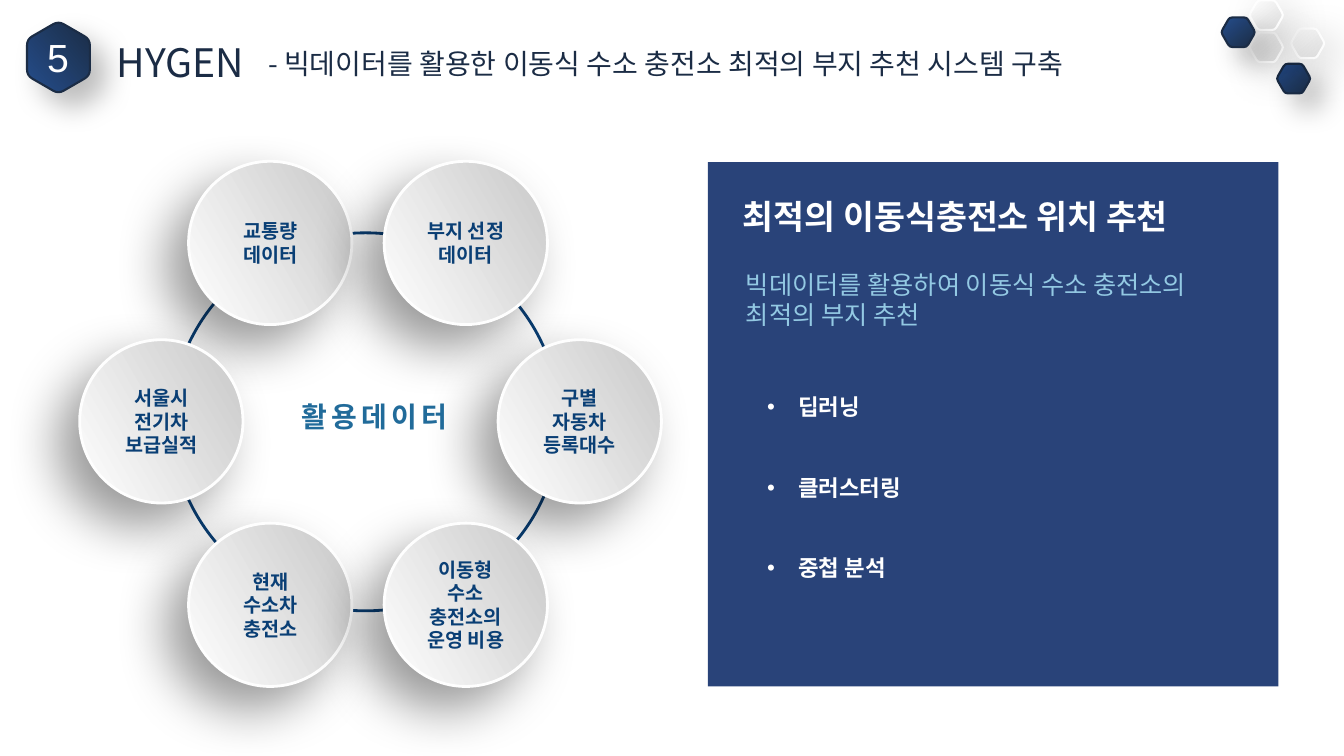
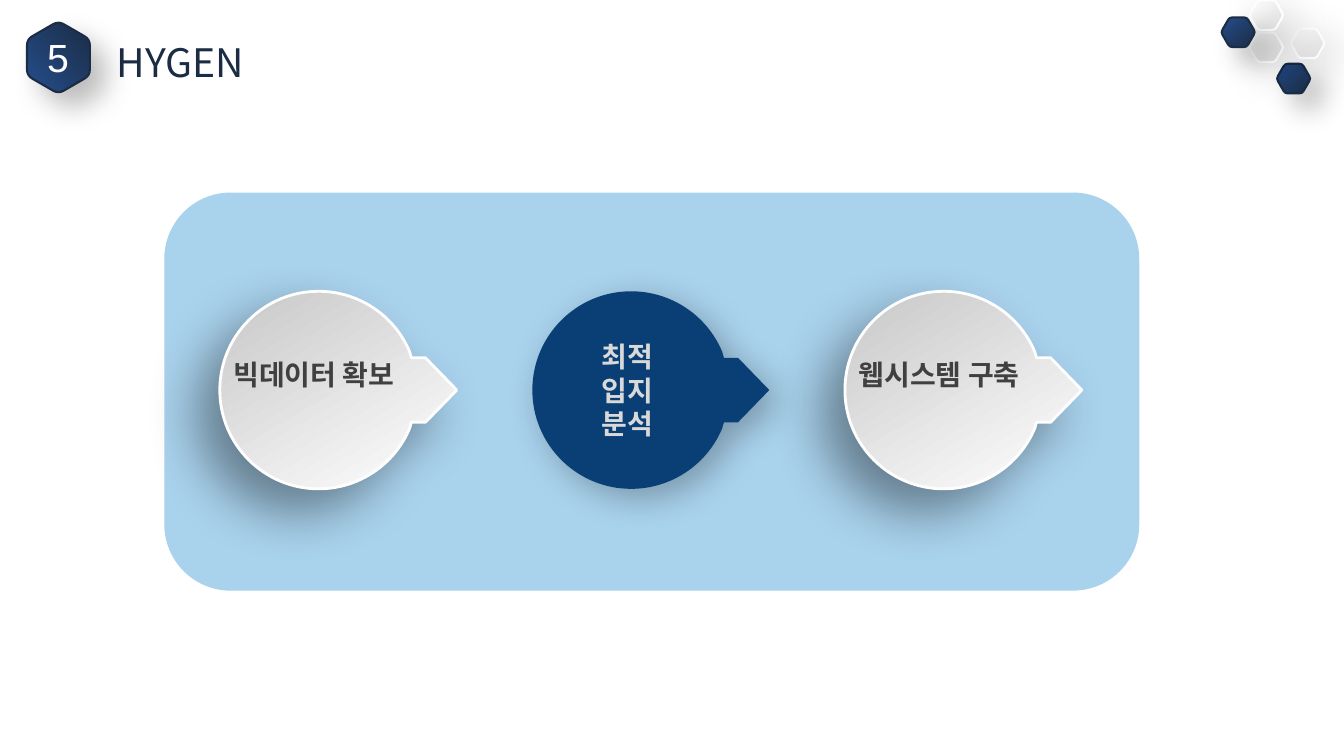
import math
from dataclasses import dataclass

from lxml import etree
from pptx import Presentation
from pptx import util as u
from pptx.dml.color import RGBColor
from pptx.enum import shapes, text
from pptx.oxml.ns import qn

IN = u.Inches
KIND = shapes.MSO_SHAPE
MID = text.PP_ALIGN.CENTER


@dataclass(frozen=True)
class Theme:
    ink: str = "1B2C45"
    blue: str = "254E8C"
    navy: str = "0A3F75"
    panel: str = "002060"
    sky: str = "A9D2ED"
    pale: str = "93C9E3"
    teal: str = "216B9A"
    dark: str = "404040"
    light: str = "D9D9D9"
    white: str = "FFFFFF"
    rim: str = "FEFEFE"
    sans: str = "Arial"
    hangul: str = "Noto Sans CJK KR"
    title: int = 28
    head: int = 24
    sub: int = 20
    body: int = 18
    item: int = 16
    label: int = 14


T = Theme()

# Paint: colour stops and clockwise angle. Shadow: opacity %, blur, distance, angle.
NAVY = dict(fill=(T.ink, T.blue, 230), line=(T.ink, 1.5), shade=(25, 20, 15, 45))
BADGE = dict(NAVY, fill=(T.ink, T.blue, 140))
PEARL = dict(fill=("DDDDDD", T.rim, 230), line=(T.rim, 1.5), shade=(20, 30, 10, 45))
DISC = dict(fill=(T.white, "C8C8C8", 330), line=(T.rim, 2), shade=(40, 38, 22, 135))
DROP = dict(DISC, fill=(T.white, "C8C8C8", 240))
SOLID = dict(fill=T.navy, shade=(28, 25, 9, 45))

TITLE = "HYGEN"
NUMBER = "5"
TOPIC = "- 빅데이터를 활용한 이동식 수소 충전소 최적의 부지 추천 시스템 구축"
HUB = "활용데이터"
# Each row: centre y, then centre x and label of both discs
RING = [
    (2.41, (2.68, "교통량 데이터"), (4.62, "부지 선정 데이터")),
    (4.18, (1.6, "서울시 전기차 보급실적"), (5.75, "구별 자동차 등록대수")),
    (6.0, (2.68, "현재 수소차 충전소"), (4.62, "이동형 수소 충전소의 운영 비용")),
]
GOAL = "최적의 이동식충전소 위치 추천"
DETAIL = "빅데이터를 활용하여 이동식 수소 충전소의 최적의 부지 추천"
METHODS = ["딥러닝", "클러스터링", "중첩 분석"]
# Each step: label, paint, text colour, text offset from the centre, text size
STEPS = [
    ("빅데이터 확보", DROP, T.dark, (-0.98, -0.37), (1.87, 0.77)),
    ("최적 입지 분석", SOLID, T.light, (-0.55, -0.55), (1.03, 1.11)),
    ("웹시스템 구축", DROP, T.dark, (-0.98, -0.37), (1.87, 0.77)),
]
# Corner cells: centre x, centre y, paint
CELLS = [
    (12.83, 0.78, NAVY),
    (12.97, 0.43, PEARL),
    (12.56, 0.47, PEARL),
    (12.56, 0.15, PEARL),
    (12.28, 0.32, NAVY),
]


def rgb(code):
    return RGBColor.from_string(code)


def paint(shape, fill=None, line=None, shade=None, alpha=None):
    if fill is None:
        shape.fill.background()
    elif isinstance(fill, str):
        shape.fill.solid()
        shape.fill.fore_color.rgb = rgb(fill)
    else:
        shape.fill.gradient()
        shape.fill.gradient_angle = 360 - fill[2]
        for stop, code, place in zip(shape.fill.gradient_stops, fill, (0, 1)):
            stop.color.rgb = rgb(code)
            stop.position = place
    if line:
        shape.line.color.rgb = rgb(line[0])
        shape.line.width = u.Pt(line[1])
    else:
        shape.line.fill.background()
    shape.shadow.inherit = False
    props = shape.element.spPr
    if alpha:
        tint = props.find(qn("a:solidFill"))[0]
        etree.SubElement(tint, qn("a:alpha"), val=str(alpha * 1000))
    if shade:
        veil, blur, dist, turn = shade
        cast = etree.SubElement(
            props.find(qn("a:effectLst")), qn("a:outerShdw"),
            blurRad=str(u.Pt(blur)), dist=str(u.Pt(dist)),
            dir=str(turn * 60000), algn="ctr", rotWithShape="0")
        tone = etree.SubElement(cast, qn("a:srgbClr"), val="000000")
        etree.SubElement(tone, qn("a:alpha"), val=str(veil * 1000))
    return shape


def preset(slide, kind, box, **look):
    return paint(slide.shapes.add_shape(kind, *map(IN, box)), **look)


def outline(slide, start, parts, look):
    """Draw a closed outline; a part holds one point (line) or three (curve)."""
    pen = slide.shapes.build_freeform(*map(IN, start), scale=1.0)
    pen.add_line_segments([(IN(x), IN(y)) for part in parts for x, y in part])
    shape = pen.convert_to_shape()
    steps = iter(list(shape.element.iter(qn("a:lnTo"))))
    for part in parts:
        first, *more = [next(steps) for _ in part]
        if more:
            curve = etree.Element(qn("a:cubicBezTo"))
            first.addprevious(curve)
            for step in (first, *more):
                curve.append(step[0])
                step.getparent().remove(step)
    paint(shape, **look)


def write(shape, lines, size, color, bold=False, face=T.sans, align=None,
          bullet=False, gap=None, space=None):
    """Fill a shape with paragraphs of one style; gap is the letter spacing."""
    frame = shape.text_frame
    frame.word_wrap = True
    for i, line in enumerate(lines):
        para = frame.paragraphs[0] if i == 0 else frame.add_paragraph()
        for key, val in dict(alignment=align, line_spacing=space).items():
            setattr(para, key, val)
        if bullet:
            props = para._p.get_or_add_pPr()
            props.set("marL", str(IN(0.31)))
            props.set("indent", str(IN(-0.31)))
            etree.SubElement(props, qn("a:buFont"), typeface=T.sans)
            etree.SubElement(props, qn("a:buChar"), char="•")
        run = para.add_run()
        run.text = line
        for key, val in dict(size=u.Pt(size), bold=bold, name=face).items():
            setattr(run.font, key, val)
        run.font.color.rgb = rgb(color)
        if gap:
            run._r.get_or_add_rPr().set("spc", str(gap * 100))


def label(slide, box, lines, size, color, **style):
    write(slide.shapes.add_textbox(*map(IN, box)), lines, size, color, **style)


def hexagon(slide, cx, cy, radius, turn, look, cut=0.17):
    """Draw a regular hexagon whose corners are rounded by a share of the side."""
    tips = [(cx + radius * math.cos(a), cy + radius * math.sin(a))
            for a in (math.radians(turn + 60 * i) for i in range(6))]

    def toward(tip, goal, share):
        return [t + (g - t) * share for t, g in zip(tip, goal)]

    parts = []
    for i, tip in enumerate(tips):
        last, following = tips[i - 1], tips[(i + 1) % 6]
        parts.append([toward(tip, last, cut)])
        parts.append([toward(tip, last, cut / 3), toward(tip, following, cut / 3),
                      toward(tip, following, cut)])
    outline(slide, parts[0][0], parts[1:], look)


def drop(slide, cx, cy, look, radius=0.98):
    """Draw a disc with an arrow tip on its right."""
    def spot(turn, lean=0):
        c, s = math.cos(turn), math.sin(turn)
        return cx + radius * (c - lean * s), cy + radius * (s + lean * c)

    turns = [math.radians(a) for a in (23, 90, 180, 270, 337)]
    parts = []
    for a, b in zip(turns, turns[1:]):
        lean = 4 / 3 * math.tan((b - a) / 4)
        parts.append([spot(a, lean), spot(b, -lean), spot(b)])
    tip = [(0.92, -0.32), (1.06, -0.32), (1.37, 0), (1.06, 0.32), (0.92, 0.32)]
    parts += [[(cx + x, cy + y)] for x, y in tip]
    outline(slide, spot(turns[0]), parts, look)


def new_slide(deck):
    slide = deck.slides.add_slide(deck.slide_layouts[6])
    for cx, cy, look in CELLS:
        hexagon(slide, cx, cy, 0.17, 0, look)
    label(slide, (1.06, 0.33, 11.02, 0.57), [TITLE], T.title, T.ink, face=T.hangul)
    hexagon(slide, 0.58, 0.57, 0.36, 30, BADGE)
    label(slide, (0.37, 0.28, 0.42, 0.57), [NUMBER], T.title, T.white)
    return slide


def data_slide(deck):
    slide = new_slide(deck)
    label(slide, (2.56, 0.41, 8.55, 0.44), [TOPIC], T.sub, T.ink, face=T.hangul)
    preset(slide, KIND.RECTANGLE, (7.02, 1.61, 5.66, 5.2), fill=T.panel, alpha=84)
    label(slide, (7.27, 1.89, 4.86, 0.5), [GOAL], T.head, T.white, bold=True)
    label(slide, (7.3, 2.62, 5.1, 0.71), [DETAIL], T.body, T.pale)
    label(slide, (7.51, 3.32, 3.6, 2.52), METHODS, T.item, T.white,
          bold=True, bullet=True, space=3.0)

    preset(slide, KIND.OVAL, (1.7, 2.31, 3.85, 3.75), line=(T.navy, 2))
    size = 1.62
    for cy, *pair in RING:
        for cx, name in pair:
            box = (cx - size / 2, cy - size / 2, size, size)
            disc = preset(slide, KIND.OVAL, box, **DISC)
            frame = disc.text_frame
            frame.vertical_anchor = text.MSO_ANCHOR.MIDDLE
            frame.margin_left = frame.margin_right = IN(0.14)
            write(disc, [name], T.label, T.navy, bold=True, align=MID)
    label(slide, (2.8, 3.91, 1.82, 0.44), [HUB], T.sub, T.teal,
          bold=True, face=T.hangul, align=MID, gap=3)


def step_slide(deck):
    slide = new_slide(deck)
    preset(slide, KIND.ROUNDED_RECTANGLE, (1.63, 1.91, 9.67, 3.95), fill=T.sky)
    left, cy, pitch = 3.16, 3.87, 3.1
    for i, (name, look, color, (dx, dy), size) in enumerate(STEPS):
        cx = left + pitch * i
        drop(slide, cx, cy, look)
        label(slide, (cx + dx, cy + dy, *size), [name], T.sub, color,
              bold=True, align=MID)


def main():
    deck = Presentation()
    deck.slide_width, deck.slide_height = IN(13.33), IN(7.5)
    data_slide(deck)
    step_slide(deck)
    deck.save("out.pptx")


if __name__ == "__main__":
    main()
